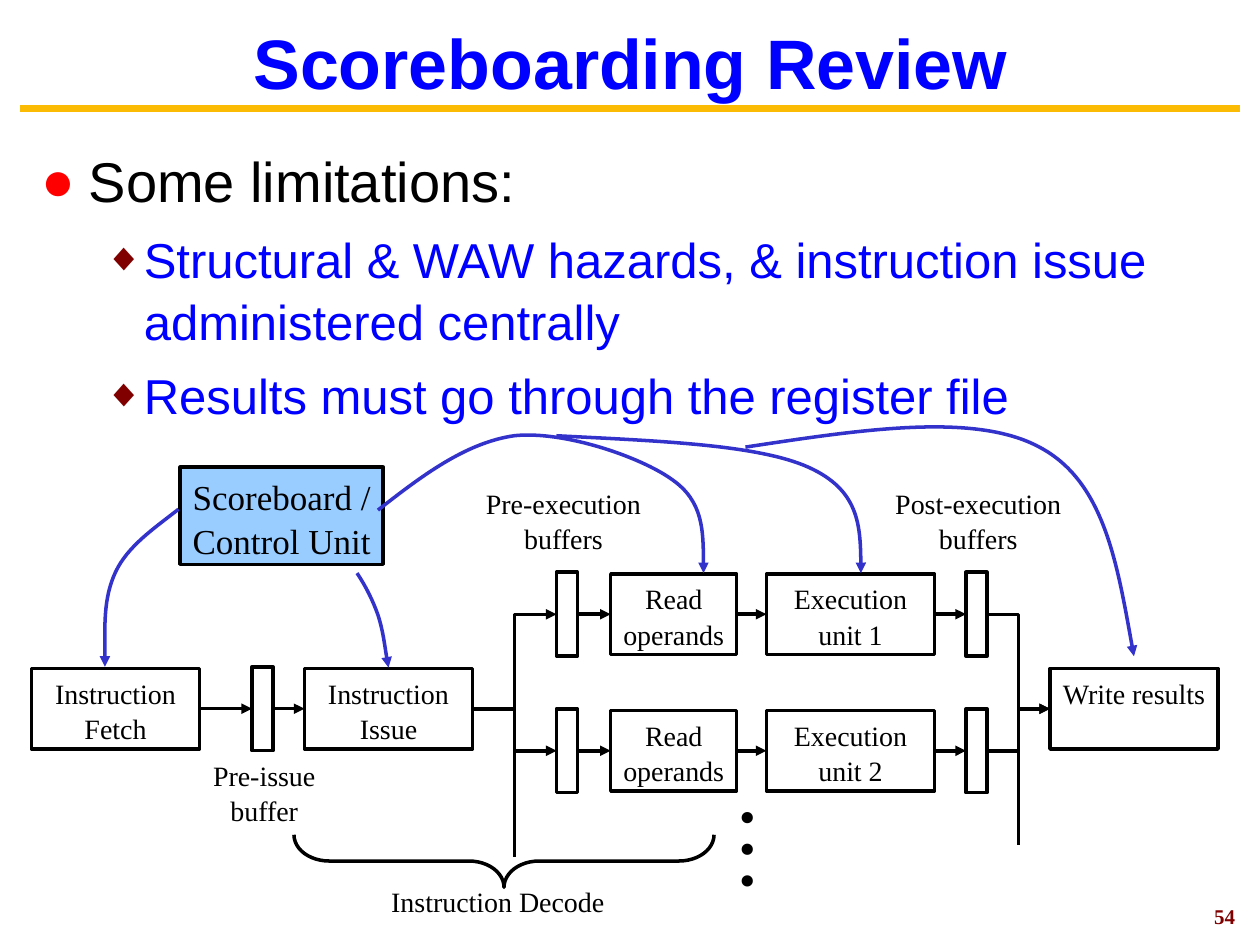
from itertools import pairwise
from lxml.etree import SubElement
from pptx import Presentation
from pptx.dml.color import RGBColor
from pptx.enum.shapes import MSO_CONNECTOR, MSO_SHAPE
from pptx.enum.text import MSO_ANCHOR, MSO_AUTO_SIZE, PP_ALIGN
from pptx.oxml.ns import qn
from pptx.util import Pt

HUES = {"gold": "FBBA03", "black": "000000", "blue": "0000FF", "ink": "3333CC",
        "sky": "99CCFF", "white": "FFFFFF", "red": "FF0000", "maroon": "800000"}
SERIF, SANS = "Times New Roman", "Arial"


def stroke(shape, hue="black", width=2, arrow=False):
    shape.line.color.rgb = RGBColor.from_string(HUES[hue])
    shape.line.width = Pt(width)
    props = shape._element.spPr
    if arrow:
        SubElement(props.find(qn("a:ln")), qn("a:tailEnd"), type="triangle")
    SubElement(props, qn("a:effectLst"))


def write(frame, text, size, hue="black", font=SERIF, bold=False, wrap=False):
    frame.text = text
    frame.word_wrap = wrap
    frame.auto_size = MSO_AUTO_SIZE.NONE
    for para in frame.paragraphs:
        para.alignment = PP_ALIGN.CENTER
        para.line_spacing = 1.05
        for run in para.runs:
            run.font.size = Pt(size)
            run.font.name = font
            run.font.bold = bold
            run.font.color.rgb = RGBColor.from_string(HUES[hue])


deck = Presentation()
deck.slide_width, deck.slide_height = Pt(720), Pt(540)
slide = deck.slides.add_slide(deck.slide_layouts[1])
shapes = slide.shapes

title = shapes.title
title.left, title.top, title.width, title.height = Pt(13.5), Pt(10), Pt(693.5), Pt(48)
write(title.text_frame, "Scoreboarding Review", 40, "blue", SANS, True, True)
title.text_frame.vertical_anchor = MSO_ANCHOR.MIDDLE

body = slide.placeholders[1]
body.left, body.top, body.width, body.height = Pt(16.5), Pt(78.5), Pt(703.5), Pt(384)
frame = body.text_frame
write(frame, "Some limitations:\n"
      "Structural & WAW hazards, & instruction issue administered centrally\n"
      "Results must go through the register file", 32, font=SANS, wrap=True)
for num, para in enumerate(frame.paragraphs):
    left, hang, mark, hue, size = (58.5, 22.5, "◆", "maroon", 80) if num else (27, 27, "●", "red", 100)
    para.alignment = PP_ALIGN.LEFT
    props = para._p.get_or_add_pPr()
    props.set("marL", str(Pt(left)))
    props.set("indent", str(-Pt(hang)))
    SubElement(SubElement(props, qn("a:buClr")), qn("a:srgbClr"), val=HUES[hue])
    SubElement(props, qn("a:buSzPct"), val=str(size * 1000))
    SubElement(props, qn("a:buFont"), typeface=SANS)
    SubElement(props, qn("a:buChar"), char=mark)
    para.space_before = Pt(7 if num else 0)
    if num:
        para.level = 1
        para.runs[0].font.size = Pt(28)
        para.runs[0].font.color.rgb = RGBColor.from_string(HUES["blue"])

rule = shapes.add_connector(MSO_CONNECTOR.STRAIGHT, Pt(11.5), Pt(62), Pt(708.5), Pt(62))
stroke(rule, "gold", 3.75)

MAIN, ROWS = 405, (351, 429)
nodes = [("fetch", "Instruction Fetch", 18, MAIN, 96),
         ("pre", "", 144, MAIN, 12),
         ("issue", "Instruction Issue", 174, MAIN, 96),
         ("write", "Write results", 600, MAIN, 96)]
chains = [("fetch", "pre", "issue")]
for num, mid in enumerate(ROWS, 1):
    nodes += [(f"in{num}", "", 318, mid, 12),
              (f"read{num}", "Read\voperands", 349, mid, 72),
              (f"unit{num}", f"Execution unit {num}", 438, mid, 96),
              (f"out{num}", "", 552, mid, 12)]
    chains.append((f"in{num}", f"read{num}", f"unit{num}", f"out{num}"))

boxes = {}
for key, text, left, mid, width in nodes:
    high = 46 if text else 48
    box = shapes.add_shape(MSO_SHAPE.RECTANGLE, Pt(left), Pt(mid - high / 2), Pt(width), Pt(high))
    box.fill.background()
    stroke(box)
    if text:
        write(box.text_frame, text, 16, wrap="\v" not in text)
        box.text_frame.vertical_anchor = MSO_ANCHOR.TOP
    boxes[key] = box
boxes["pre"].fill.solid()
boxes["pre"].fill.fore_color.rgb = RGBColor.from_string(HUES["white"])

unit = shapes.add_shape(MSO_SHAPE.RECTANGLE, Pt(103), Pt(267), Pt(116), Pt(55.5))
unit.fill.solid()
unit.fill.fore_color.rgb = RGBColor.from_string(HUES["sky"])
stroke(unit)
write(unit.text_frame, "Scoreboard /\vControl Unit", 20)
unit.text_frame.vertical_anchor = MSO_ANCHOR.TOP

for chain in chains:
    for tail, head in pairwise(chain):
        link = shapes.add_connector(MSO_CONNECTOR.STRAIGHT, 0, 0, 0, 0)
        link.begin_connect(boxes[tail], 3)
        link.end_connect(boxes[head], 1)
        stroke(link, arrow=True)

FORK, JOIN = 294, 582
last = shapes.add_connector(MSO_CONNECTOR.STRAIGHT, Pt(JOIN), Pt(MAIN), Pt(600), Pt(MAIN))
last.end_connect(boxes["write"], 1)
stroke(last, arrow=True)
for left, end in ((FORK, 490), (JOIN, 483)):
    stem = shapes.add_connector(MSO_CONNECTOR.STRAIGHT, Pt(left), Pt(ROWS[1]), Pt(left), Pt(end))
    stroke(stem)

routes = [
    ([(270, MAIN), (FORK, MAIN), (FORK, ROWS[0]), (318, ROWS[0])], False, True),
    ([(FORK, 399.5), (FORK, ROWS[1]), (318, ROWS[1])], False, True),
    ([(564, ROWS[0]), (JOIN, ROWS[0]), (JOIN, MAIN), (600, MAIN)], False, True),
    ([(564, ROWS[1]), (JOIN, ROWS[1]), (JOIN, MAIN)], False, False),
    ([(102, 291), (88, 302), (73, 312), (66, 327), (59, 342), (60, 361), (60, 381)], True, True),
    ([(204, 327.5), (209, 335), (213, 343), (216, 351.5), (219, 361), (220, 371), (222, 381.5)], True, True),
    ([(216, 291.5), (241, 272), (266, 253), (294, 249), (322, 246), (366, 261), (384, 274),
      (402, 286.5), (402, 307), (402, 327.5)], True, True),
    ([(318, 249), (376, 252), (433, 254), (462, 267), (491, 280), (492, 304), (492, 327.5)], True, True),
    ([(426, 255.5), (492, 245.5), (557, 235.5), (594, 255.5), (631, 275), (639, 325.5), (648, 375)], True, True),
]
for dots, curved, arrow in routes:
    start, *rest = [(Pt(x), Pt(y)) for x, y in dots]
    pen = shapes.build_freeform(*start)
    pen.add_line_segments(rest, close=False)
    route = pen.convert_to_shape()
    route.fill.background()
    stroke(route, "ink" if curved else "black", arrow=arrow)
    if curved:
        steps = route._element.xpath(".//a:lnTo")
        for first in range(0, len(steps), 3):
            trio = steps[first:first + 3]
            bend = SubElement(trio[0].getparent(), qn("a:cubicBezTo"))
            for step in trio:
                bend.append(step[0])
                step.getparent().remove(step)

brace = shapes.add_shape(MSO_SHAPE.LEFT_BRACE, Pt(273), Pt(372), Pt(30), Pt(240))
brace.rotation = 270
brace.adjustments[0] = 0.67
brace.fill.background()
stroke(brace)

labels = [("Pre-issue\vbuffer", 114.5, 429, 73, 46, 16),
          ("Pre-execution\vbuffers", 270.5, 273.5, 103, 46, 16),
          ("Post-execution\vbuffers", 504.5, 273.5, 109, 46, 16),
          ("Instruction Decode", 216.5, 501, 136, 26.5, 16),
          ("…", 415.5, 449.5, 68.5, 72, 54)]
for text, left, top, width, high, size in labels:
    label = shapes.add_textbox(Pt(left), Pt(top), Pt(width), Pt(high))
    write(label.text_frame, text, size)
    if text == "…":
        label.rotation = 90

page = shapes.add_textbox(Pt(690.5), Pt(515), Pt(18.5), Pt(16.5))
write(page.text_frame, "54", 12, "maroon", bold=True)
page.text_frame.vertical_anchor = MSO_ANCHOR.MIDDLE

deck.save("out.pptx")
